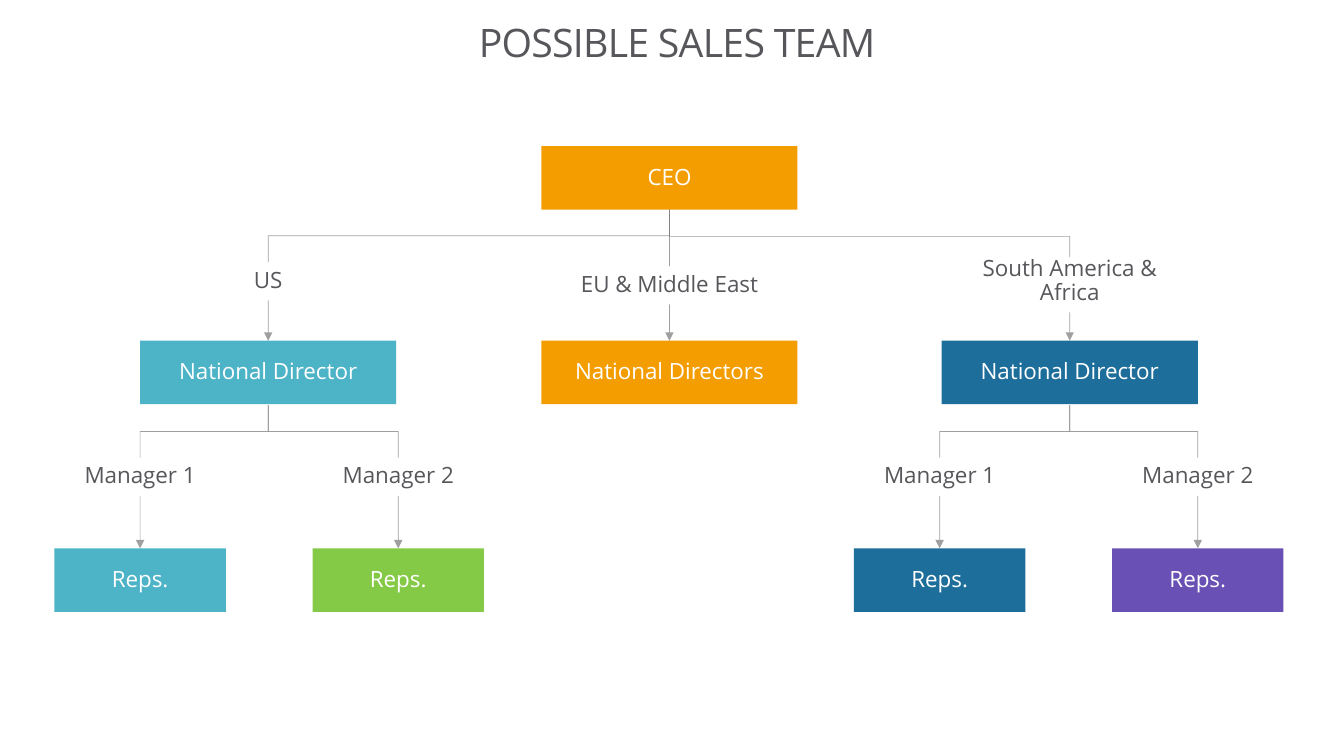
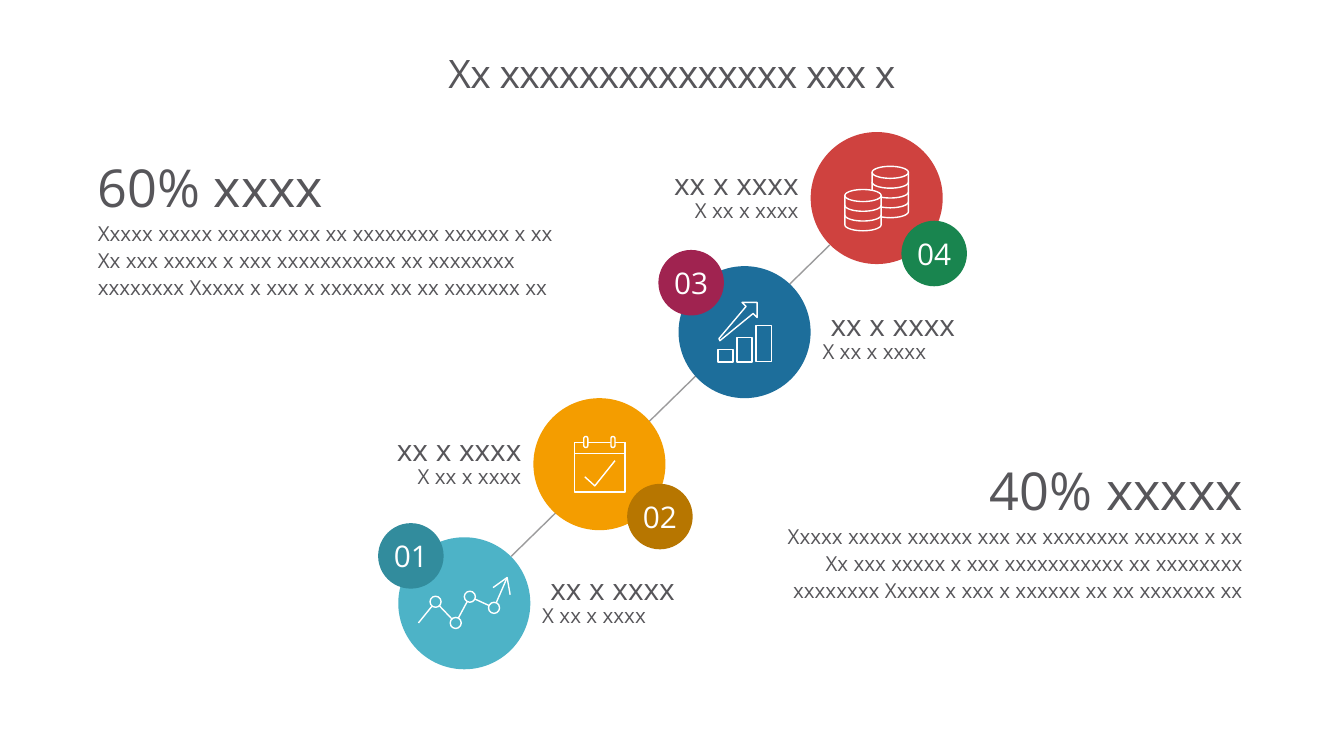
import dataclasses
import math

import lxml.etree
import pptx
import pptx.dml.color
import pptx.enum.shapes
import pptx.enum.text
import pptx.oxml.ns
import pptx.util

EMU_PER_PX = 9144  # 100 px to the inch
SHAPE = pptx.enum.shapes.MSO_SHAPE
CONNECTOR = pptx.enum.shapes.MSO_CONNECTOR
ALIGN = pptx.enum.text.PP_ALIGN
ANCHOR = pptx.enum.text.MSO_ANCHOR


@dataclasses.dataclass(frozen=True)
class Theme:
    font: str = "Open Sans"
    ink: str = "57565A"
    white: str = "FFFFFF"
    teal: str = "4DB3C7"
    dark_teal: str = "328C9D"
    orange: str = "F49D00"
    dark_orange: str = "B77600"
    blue: str = "1D6E9B"
    green: str = "85CA46"
    dark_green: str = "19854F"
    purple: str = "6850B4"
    red: str = "CF423F"
    plum: str = "A02350"
    branch: str = "808080"
    chain: str = "39383A"
    title: float = 28
    node: float = 16
    figure: float = 37.3
    step: float = 21.3
    body: float = 14.7


T = Theme()


def px(value):
    return round(value * EMU_PER_PX)


def rgb(color):
    return pptx.dml.color.RGBColor.from_string(color)


def add_xml(parent, tag, **attributes):
    return lxml.etree.SubElement(parent, pptx.oxml.ns.qn(tag), **attributes)


def paint(sp, fill=None, line=None):
    sp.shadow.inherit = False
    if fill:
        sp.fill.solid()
        sp.fill.fore_color.rgb = rgb(fill)
    else:
        sp.fill.background()
    if line:
        sp.line.color.rgb = rgb(line)
        sp.line.width = pptx.util.Pt(1)
    else:
        sp.line.fill.background()


def shape(s, kind, x, y, w, h, fill=None, line=None):
    sp = s.shapes.add_shape(kind, px(x), px(y), px(w), px(h))
    paint(sp, fill, line)
    return sp


def set_frame(sp, inset, wrap=True, anchor=ANCHOR.MIDDLE):
    """Set the frame's wrapping, anchor and (horizontal, vertical) inset."""
    tf = sp.text_frame
    tf.word_wrap = wrap
    tf.vertical_anchor = anchor
    tf.margin_left = tf.margin_right = px(inset[0])
    tf.margin_top = tf.margin_bottom = px(inset[1])
    return tf


def set_paragraph(p, text, size, color=T.ink, align=ALIGN.CENTER, spacing=0.9):
    p.text = text
    p.alignment = align
    p.line_spacing = spacing
    p.font.name = T.font
    p.font.size = pptx.util.Pt(size)
    p.font.color.rgb = rgb(color)


def text_box(s, x, y, w, h, inset, anchor=ANCHOR.MIDDLE):
    sp = s.shapes.add_textbox(px(x), px(y), px(w), px(h))
    return set_frame(sp, inset, anchor=anchor)


def title(s, x, y, text):
    p = text_box(s, x, y, 1133, 89, (0, 0)).paragraphs[0]
    set_paragraph(p, text, T.title, spacing=0.86)
    p.runs[0]._r.get_or_add_rPr().set("spc", "-50")


def style_line(cxn, color, width, opacity, arrow=False):
    cxn.line.color.rgb = rgb(color)
    cxn.line.width = pptx.util.Pt(width)
    properties = cxn._element.spPr
    ln = properties.find(pptx.oxml.ns.qn("a:ln"))
    paint_color = ln.find(".//" + pptx.oxml.ns.qn("a:srgbClr"))
    add_xml(paint_color, "a:alpha", val=str(opacity * 1000))
    if arrow:
        add_xml(ln, "a:tailEnd", type="triangle")
    add_xml(properties, "a:effectLst")


def connector(s, kind, x1, y1, x2, y2):
    return s.shapes.add_connector(kind, px(x1), px(y1), px(x2), px(y2))


def drop(s, x, y1, y2, arrow=False):
    """Draw a straight vertical branch."""
    cxn = connector(s, CONNECTOR.STRAIGHT, x, y1, x, y2)
    style_line(cxn, T.branch, 0.5, 75, arrow)


def elbow(s, x1, y1, x2, y2):
    """Draw a branch that goes down, across and down again."""
    half_w, half_h = (y2 - y1) / 2, abs(x2 - x1) / 2
    cx, cy = (x1 + x2) / 2, (y1 + y2) / 2
    side = 1 if x2 > x1 else -1
    cxn = connector(s, CONNECTOR.ELBOW, cx + side * half_w, cy - half_h,
                    cx - side * half_w, cy + half_h)
    cxn.rotation = 270 if side > 0 else 90
    style_line(cxn, T.branch, 0.5, 75)


def node(s, cx, y, w, text, fill):
    sp = shape(s, SHAPE.RECTANGLE, cx - w / 2, y, w, 63, fill)
    set_paragraph(set_frame(sp, (1, 1)).paragraphs[0], text, T.node, T.white)


def branch_label(s, cx, y, h, text):
    tf = text_box(s, cx - 101, y, 202, h, (7, 7))
    set_paragraph(tf.paragraphs[0], text, T.node)


def sales_team(s):
    title(s, 105, 0, "POSSIBLE SALES TEAM")
    ceo_x = 664
    node(s, ceo_x, 145, 254, "CEO", T.orange)

    regions = [
        (266, 260, 38, "US", "National Director", T.teal),
        (ceo_x, 264, 38, "EU & Middle East", "National Directors", T.orange),
        (1061, 248, 62, "South America & Africa", "National Director", T.blue),
    ]
    for cx, y, h, region, director, color in regions:
        node(s, cx, 338, 254, director, color)
        branch_label(s, cx, y, h, region)
        drop(s, cx, y + h, 338, arrow=True)
    elbow(s, ceo_x, 208, 266, 260)
    drop(s, ceo_x, 208, 264)
    elbow(s, ceo_x, 214, 1061, 255)

    managers = [
        (266, 139, "Manager 1", T.teal),
        (266, 395, "Manager 2", T.green),
        (1061, 932, "Manager 1", T.blue),
        (1061, 1188, "Manager 2", T.purple),
    ]
    for director_x, cx, manager, color in managers:
        elbow(s, director_x, 402, cx, 454)
        branch_label(s, cx, 454, 38, manager)
        drop(s, cx, 492, 544, arrow=True)
        node(s, cx, 544, 170, "Reps.", color)


def outline(s, x, y, points, close=False, fill=None):
    """Draw a white outline through points given relative to x, y."""
    emu = [(px(x + dx), px(y + dy)) for dx, dy in points]
    builder = s.shapes.build_freeform(*emu[0], scale=1)
    builder.add_line_segments(emu[1:], close=close)
    paint(builder.convert_to_shape(), fill, T.white)


def trend_icon(s, x, y, fill):
    nodes = [(37, 64), (57, 85), (71, 59), (95, 70)]
    outline(s, x, y, [(20, 85), *nodes, (108, 40)])
    outline(s, x, y, [(111, 57), (108, 40), (94, 50)])
    for dx, dy in nodes:
        shape(s, SHAPE.OVAL, x + dx - 5.5, y + dy - 5.5, 11, 11, fill, T.white)


def calendar_icon(s, x, y, fill):
    shape(s, SHAPE.RECTANGLE, x + 41, y + 44, 50, 49, line=T.white)
    shape(s, SHAPE.RECTANGLE, x + 41, y + 44, 50, 11, line=T.white)
    for dx in (50, 77):
        ring = shape(s, SHAPE.ROUNDED_RECTANGLE, x + dx, y + 38, 4, 11,
                     fill, T.white)
        ring.adjustments[0] = 0.5
    outline(s, x, y, [(51, 78), (61, 87), (81, 62)])


def growth_icon(s, x, y, fill):
    for i in range(3):
        h = 12 * (i + 1)
        shape(s, SHAPE.RECTANGLE, x + 39 + 19 * i, y + 95 - h, 15, h,
              fill, T.white)
    outline(s, x, y, [(78, 36), (63, 36), (67, 40), (40, 72), (41, 74),
                      (74, 47), (78, 51)], close=True)


def rim(y, start, end):
    """Return points along a coin's rim between two angles in degrees."""
    angles = [math.radians(a) for a in range(start, end + 1, 10)]
    return [(18 + 18 * math.cos(a), y + 6 * math.sin(a)) for a in angles]


def coins_icon(s, x, y, fill):
    for dx, dy, h, layers in [(61, 40, 39, 4), (34, 63, 29, 3)]:
        left, top = x + dx, y + dy
        outline(s, left, top, rim(h, 0, 180) + rim(0, 180, 360), True, fill)
        for i in range(layers):
            outline(s, left, top, rim(h * i / layers, 0, 180))


def badge(s, x, y, text, fill):
    sp = shape(s, SHAPE.OVAL, x, y, 65, 65, fill)
    tf = set_frame(sp, (10, 5), wrap=False)
    set_paragraph(tf.paragraphs[0], text, T.step, T.white, spacing=1.0)


def step_label(s, x, y, align):
    tf = text_box(s, x, y, 224, 62, (10, 5), ANCHOR.TOP)
    p = tf.paragraphs[0]
    set_paragraph(p, "xx x xxxx", T.step, align=align, spacing=0.85)
    if align == ALIGN.LEFT:
        p._p.get_or_add_pPr().set("marL", str(px(8)))
    set_paragraph(tf.add_paragraph(), "X xx x xxxx", T.body, align=align,
                  spacing=0.85)


def summary(s, x, y, heading, align):
    tf = text_box(s, x, y, 470, 136, (0, 0), ANCHOR.TOP)
    set_paragraph(tf.paragraphs[0], heading, T.figure, align=align,
                  spacing=0.85)
    body = ("Xxxxx xxxxx xxxxxx xxx xx xxxxxxxx xxxxxx x xx "
            "Xx xxx xxxxx x xxx xxxxxxxxxxx xx xxxxxxxx "
            "xxxxxxxx Xxxxx x xxx x xxxxxx xx xx xxxxxxx xx")
    set_paragraph(tf.add_paragraph(), body, T.body, align=align, spacing=1.1)


def four_steps(s):
    title(s, 100, 31, "Xx xxxxxxxxxxxxxxx xxx x")
    chain = connector(s, CONNECTOR.STRAIGHT, 507, 552, 823, 243)
    style_line(chain, T.chain, 1, 50)

    steps = [
        (395, 533, T.teal, trend_icon, 375, 519, T.dark_teal,
         528, 567, ALIGN.LEFT),
        (529, 395, T.orange, calendar_icon, 622, 480, T.dark_orange,
         303, 429, ALIGN.RIGHT),
        (673, 264, T.blue, growth_icon, 653, 248, T.plum,
         806, 305, ALIGN.LEFT),
        (804, 131, T.red, coins_icon, 894, 219, T.dark_green,
         578, 165, ALIGN.RIGHT),
    ]
    for number, step in enumerate(steps, 1):
        x, y, fill, icon, badge_x, badge_y, badge_fill, *label = step
        shape(s, SHAPE.OVAL, x, y, 131, 131, fill)
        icon(s, x, y, fill)
        badge(s, badge_x, badge_y, f"{number:02}", badge_fill)
        step_label(s, *label)

    summary(s, 97, 164, "60% xxxx", ALIGN.LEFT)
    summary(s, 763, 464, "40% xxxxx", ALIGN.RIGHT)


def main():
    prs = pptx.Presentation()
    prs.slide_width, prs.slide_height = px(1333), px(750)
    for build in (sales_team, four_steps):
        build(prs.slides.add_slide(prs.slide_layouts[6]))
    prs.save("out.pptx")


if __name__ == "__main__":
    main()
